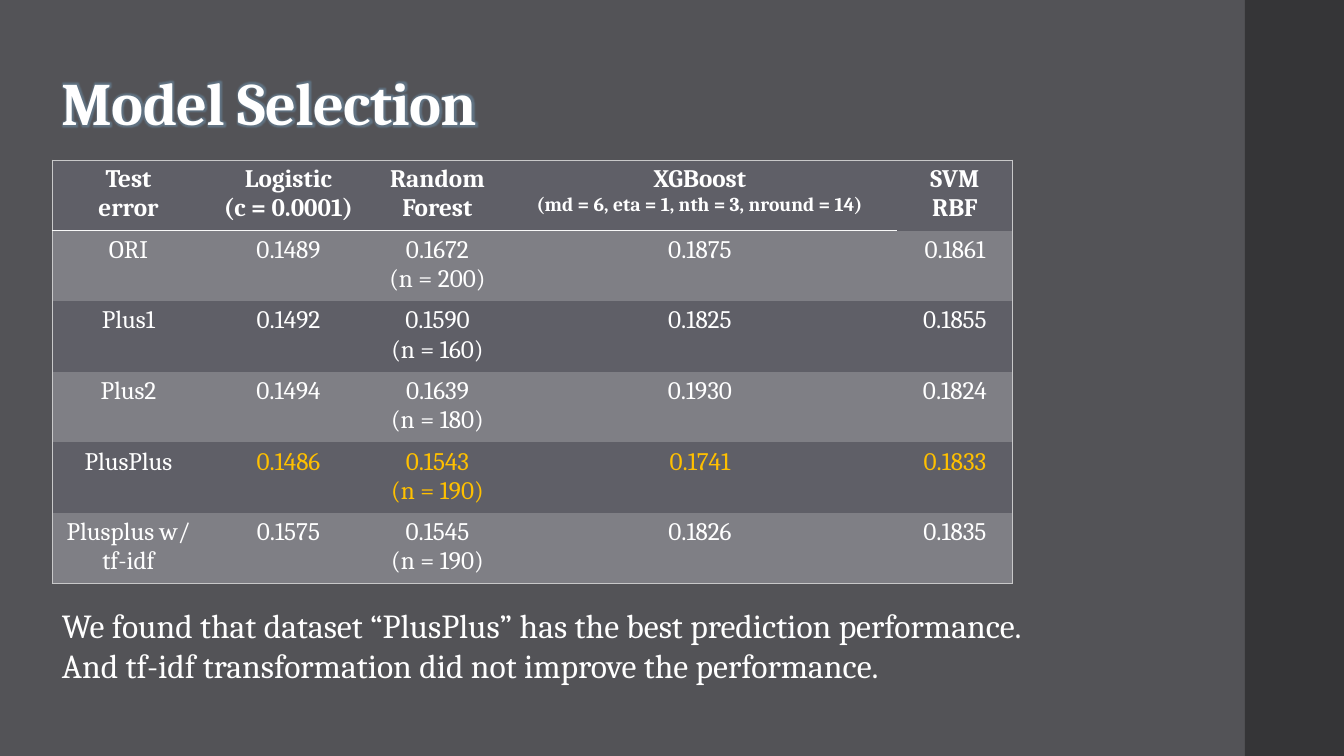
"""Build the Model Selection slide with its table of test errors."""
from dataclasses import dataclass

from lxml import etree
from pptx import Presentation
from pptx.dml.color import RGBColor
from pptx.enum.shapes import MSO_SHAPE
from pptx.enum.text import MSO_ANCHOR, PP_ALIGN
from pptx.oxml.ns import qn
from pptx.util import Pt

RECTANGLE = MSO_SHAPE.RECTANGLE
BOTTOM, TOP = MSO_ANCHOR.BOTTOM, MSO_ANCHOR.TOP
CENTER = PP_ALIGN.CENTER

TITLE = "Model Selection"
HEADER = [
    "Test\nerror",
    "Logistic\n(c = 0.0001)",
    "Random Forest",
    "XGBoost\n(md = 6, eta = 1, nth = 3, nround = 14)",
    "SVM\nRBF",
]
RESULTS = [
    ["ORI", "0.1489", "0.1672\n(n = 200)", "0.1875", "0.1861"],
    ["Plus1", "0.1492", "0.1590\n(n = 160)", "0.1825", "0.1855"],
    ["Plus2", "0.1494", "0.1639\n(n = 180)", "0.1930", "0.1824"],
    ["PlusPlus", "0.1486", "0.1543\n(n = 190)", "0.1741", "0.1833"],
    ["Plusplus w/ tf-idf", "0.1575", "0.1545\n(n = 190)", "0.1826", "0.1835"],
]
BEST_DATASET = "PlusPlus"
SMALL_PRINT = "(md ="
CONCLUSION = (
    "We found that dataset “PlusPlus” has the best prediction performance.\n"
    "And tf-idf transformation did not improve the performance."
)

PAGE = (1344, 756)
SIDE_PANEL = (1245, 0, 99, 756)
TITLE_BOX = (52, 0, 1068, 206)
TITLE_BOTTOM_INSET = 68
TABLE_ORIGIN = (52, 160)
COLUMN_WIDTHS = [153, 167, 131, 394, 116]
ROW_HEIGHT = 68
CONCLUSION_BOX = (52, 600, 1127, 92)

PX = 914400 / 100.8
NO_GRID_STYLE = "{2D5ABB26-0587-4C30-8999-92F81FD0307C}"


@dataclass(frozen=True)
class Theme:
    """Colours, font and type sizes of the slide."""
    font: str = "Cambria"
    background: str = "535357"
    panel: str = "353537"
    text: str = "FFFFFF"
    highlight: str = "FFC000"
    glow: str = "6F94B0"
    row: str = "5F5F67"
    band: str = "7F7F85"
    frame: str = "C8C8C9"
    header_rule: str = "F9F9F9"
    title_size: int = 43
    cell_size: int = 18
    small_size: int = 14
    conclusion_size: int = 24
    frame_width: float = 0.75
    rule_width: float = 1.35


THEME = Theme()


def px(*lengths):
    return [round(length * PX) for length in lengths]


def paint(fill, color):
    fill.solid()
    fill.fore_color.rgb = RGBColor.from_string(color)


def style(span, size, color=THEME.text, bold=False):
    span.font.name = THEME.font
    span.font.size = Pt(size)
    span.font.bold = bold
    span.font.color.rgb = RGBColor.from_string(color)


def add_text(page, place, text, size, anchor=TOP, bold=False):
    box = page.shapes.add_textbox(*px(*place))
    frame = box.text_frame
    frame.word_wrap = True
    frame.vertical_anchor = anchor
    frame.text = text
    for para in frame.paragraphs:
        for span in para.runs:
            style(span, size, bold=bold)
    return frame


def add_glow(span):
    properties = span.font._element
    properties.set("spc", "-50")
    effects = etree.Element(qn("a:effectLst"))
    glow = etree.SubElement(effects, qn("a:glow"), rad=str(Pt(5)))
    color = etree.SubElement(glow, qn("a:srgbClr"), val=THEME.glow)
    etree.SubElement(color, qn("a:alpha"), val="50000")
    properties.find(qn("a:solidFill")).addnext(effects)


def add_border(cell, side, color, width):
    properties = cell._tc.get_or_add_tcPr()
    line = etree.SubElement(properties, qn("a:ln" + side), w=str(Pt(width)))
    fill = etree.SubElement(line, qn("a:solidFill"))
    etree.SubElement(fill, qn("a:srgbClr"), val=color)


def frame_cell(cell, row, column, last_row, last_column):
    edges = {
        "L": column == 0,
        "R": column == last_column,
        "T": row == 0,
        "B": row == last_row,
    }
    for side, outer in edges.items():
        if outer:
            add_border(cell, side, THEME.frame, THEME.frame_width)
    if row == 0 and column < last_column:
        add_border(cell, "B", THEME.header_rule, THEME.rule_width)


def fill_cell(cell, text, color, bold):
    cell.text_frame.text = text
    for para in cell.text_frame.paragraphs:
        para.alignment = CENTER
        for span in para.runs:
            small = span.text.startswith(SMALL_PRINT)
            style(span, THEME.small_size if small else THEME.cell_size, color, bold)


def add_results(page):
    rows = [HEADER] + RESULTS
    size = (sum(COLUMN_WIDTHS), ROW_HEIGHT * len(rows))
    table = page.shapes.add_table(
        len(rows), len(HEADER), *px(*TABLE_ORIGIN, *size)
    ).table
    table._tbl.tblPr.find(qn("a:tableStyleId")).text = NO_GRID_STYLE
    for column, width in zip(table.columns, px(*COLUMN_WIDTHS)):
        column.width = width
    for r, values in enumerate(rows):
        table.rows[r].height = px(ROW_HEIGHT)[0]
        for c, text in enumerate(values):
            cell = table.cell(r, c)
            best = values[0] == BEST_DATASET and c > 0
            fill_cell(cell, text, THEME.highlight if best else THEME.text, r == 0)
            frame_cell(cell, r, c, len(rows) - 1, len(HEADER) - 1)
            paint(cell.fill, THEME.band if r % 2 else THEME.row)


def main():
    deck = Presentation()
    deck.slide_width, deck.slide_height = px(*PAGE)
    page = deck.slides.add_slide(deck.slide_layouts[6])
    paint(page.background.fill, THEME.background)

    panel = page.shapes.add_shape(RECTANGLE, *px(*SIDE_PANEL))
    panel.shadow.inherit = False
    paint(panel.fill, THEME.panel)
    panel.line.fill.background()

    title = add_text(page, TITLE_BOX, TITLE, THEME.title_size, BOTTOM, bold=True)
    title.margin_bottom = px(TITLE_BOTTOM_INSET)[0]
    title.paragraphs[0].line_spacing = 0.9
    add_glow(title.paragraphs[0].runs[0])

    add_results(page)
    add_text(page, CONCLUSION_BOX, CONCLUSION, THEME.conclusion_size)
    deck.save("out.pptx")


if __name__ == "__main__":
    main()
